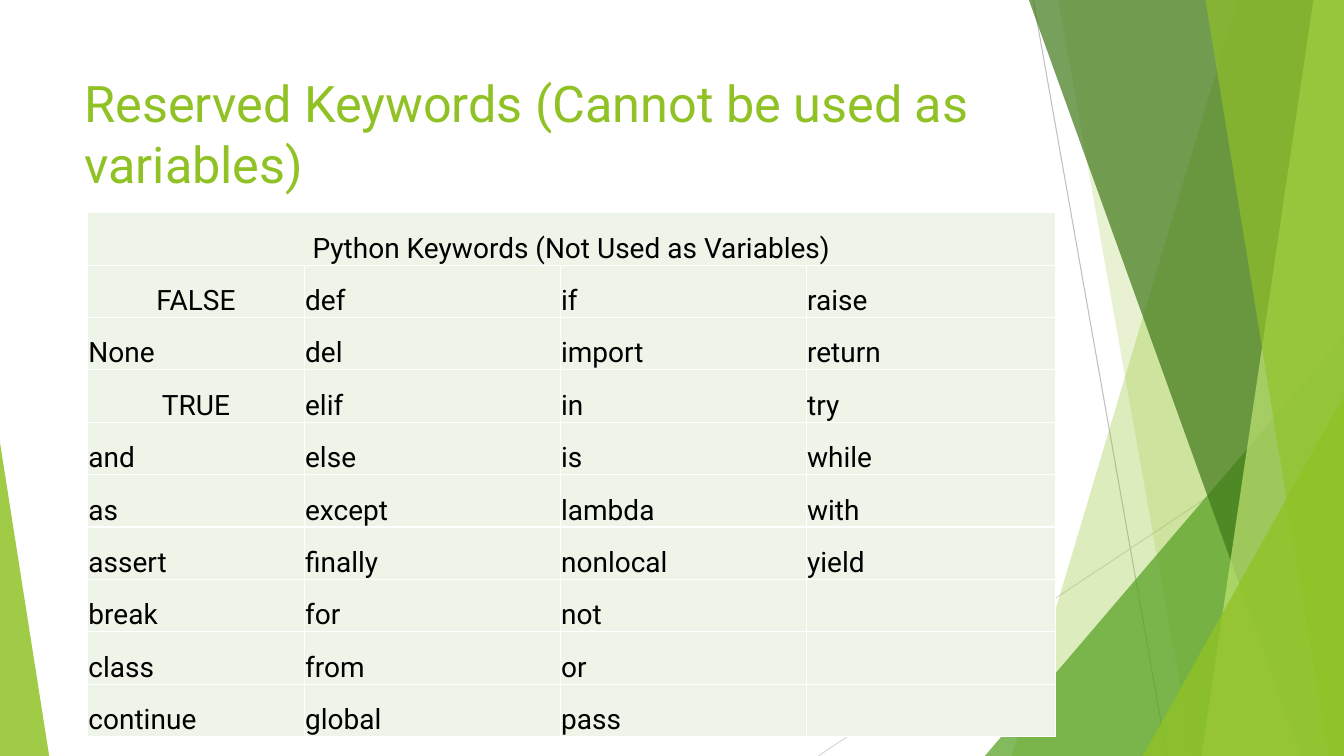
from pptx import Presentation
from pptx.dml.color import RGBColor
from pptx.enum.shapes import MSO_CONNECTOR, MSO_SHAPE
from pptx.enum.text import MSO_ANCHOR, PP_ALIGN
from pptx.oxml.ns import qn
from pptx.util import Cm, Pt
from lxml.etree import SubElement

COLORS = {
    "lime": "90C226", "green": "54A021", "forest": "3F7819", "pale_lime": "C0E474",
    "grey": "BFBFBF", "light_grey": "D9D9D9",
    "cell": "EEF4E8", "border": "FFFFFF", "text": "000000",
}
FONT = "Roboto"
WIDTH, HEIGHT = 33.87, 19.05


def paint(shape, color, opacity):
    """Give a shape a translucent fill, without outline or shadow."""
    shape.shadow.inherit = False
    shape.line.fill.background()
    shape.fill.solid()
    shape.fill.fore_color.rgb = RGBColor.from_string(COLORS[color])
    fill_color = shape.fill._xPr.find(qn("a:solidFill"))[0]
    SubElement(fill_color, qn("a:alpha")).set("val", str(opacity * 1000))


def style_text(para, size, color):
    """Format every run of a paragraph."""
    for span in para.runs:
        span.font.name = FONT
        span.font.size = Pt(size)
        span.font.color.rgb = RGBColor.from_string(COLORS[color])


deck = Presentation()
deck.slide_width, deck.slide_height = Cm(WIDTH), Cm(HEIGHT)
page = deck.slides.add_slide(deck.slide_layouts[6])
shapes = page.shapes

# Thin lines behind the shards: start x, start y, end x, end y
for *ends, color in [
    (26.04, 0, 29.41, HEIGHT, "grey"),
    (WIDTH, 10.24, 20.62, HEIGHT, "light_grey"),
]:
    line = shapes.add_connector(MSO_CONNECTOR.STRAIGHT, *map(Cm, ends))
    line.line.color.rgb = RGBColor.from_string(COLORS[color])
    line.line.width = Pt(0.75)
    SubElement(line._element.spPr, qn("a:effectLst"))

# Shards run to the right edge: top x and bottom x of their slanted side.
# Triangles stand on the bottom edge: left, top, width and apex position.
decorations = [
    ("shard", (31.19, 25.5), "lime", 30),
    ("shard", (26.67, 30.05), "lime", 20),
    ("triangle", (24.82, 8.46, WIDTH - 24.82, 1), "green", 72),
    ("shard", (25.93, 32.79), "forest", 70),
    ("shard", (33.1, 30.28), "pale_lime", 70),
    ("shard", (30.38, 33.48), "lime", 65),
    ("triangle", (28.8, 9.98, WIDTH - 28.8, 1), "lime", 80),
    ("triangle", (0, 11.15, 1.24, 0), "lime", 85),
]
for kind, geometry, color, opacity in decorations:
    if kind == "shard":
        top_x, bottom_x = geometry
        outline = shapes.build_freeform(Cm(top_x), 0)
        corners = [(WIDTH, 0), (WIDTH, HEIGHT), (bottom_x, HEIGHT)]
        outline.add_line_segments([(Cm(x), Cm(y)) for x, y in corners])
        decoration = outline.convert_to_shape()
    else:
        left, top, width, apex = geometry
        decoration = shapes.add_shape(
            MSO_SHAPE.ISOSCELES_TRIANGLE, Cm(left), Cm(top), Cm(width), Cm(HEIGHT - top))
        decoration.adjustments[0] = apex
    paint(decoration, color, opacity)

title_box = shapes.add_textbox(Cm(1.88), Cm(1.7), Cm(23.88), Cm(3.66))
title_box.text_frame.word_wrap = True
title_box.text_frame.text = "Reserved Keywords (Cannot be used as variables)"
style_text(title_box.text_frame.paragraphs[0], 36, "lime")

keyword_rows = [
    ["Python Keywords (Not Used as Variables)", "", "", ""],
    ["FALSE", "def", "if", "raise"],
    ["None", "del", "import", "return"],
    ["TRUE", "elif", "in", "try"],
    ["and", "else", "is", "while"],
    ["as", "except", "lambda", "with"],
    ["assert", "finally", "nonlocal", "yield"],
    ["break", "for", "not", ""],
    ["class", "from", "or", ""],
    ["continue", "global", "pass", ""],
]
centered = {keyword_rows[0][0], "FALSE", "TRUE"}
column_widths = [5.46, 6.45, 6.2, 6.27]
row_height = 1.32
table = shapes.add_table(
    len(keyword_rows), len(column_widths), Cm(2.21), Cm(5.36),
    Cm(sum(column_widths)), Cm(row_height * len(keyword_rows))).table
for column, width in zip(table.columns, column_widths):
    column.width = Cm(width)
for row, keywords in zip(table.rows, keyword_rows):
    row.height = Cm(row_height)
    for cell, keyword in zip(row.cells, keywords):
        cell.margin_left = cell.margin_right = cell.margin_top = Cm(0.02)
        cell.margin_bottom = 0
        cell.vertical_anchor = MSO_ANCHOR.BOTTOM
        for side in ("a:lnL", "a:lnR", "a:lnT", "a:lnB"):
            border = SubElement(cell._tc.get_or_add_tcPr(), qn(side), w=str(Pt(1)))
            border_fill = SubElement(border, qn("a:solidFill"))
            SubElement(border_fill, qn("a:srgbClr"), val=COLORS["border"])
        cell.fill.solid()
        cell.fill.fore_color.rgb = RGBColor.from_string(COLORS["cell"])
        if keyword:
            para = cell.text_frame.paragraphs[0]
            para.text = keyword
            para.alignment = PP_ALIGN.CENTER if keyword in centered else PP_ALIGN.LEFT
            style_text(para, 20, "text")
table.cell(0, 0).merge(table.cell(0, len(column_widths) - 1))

deck.save("out.pptx")
